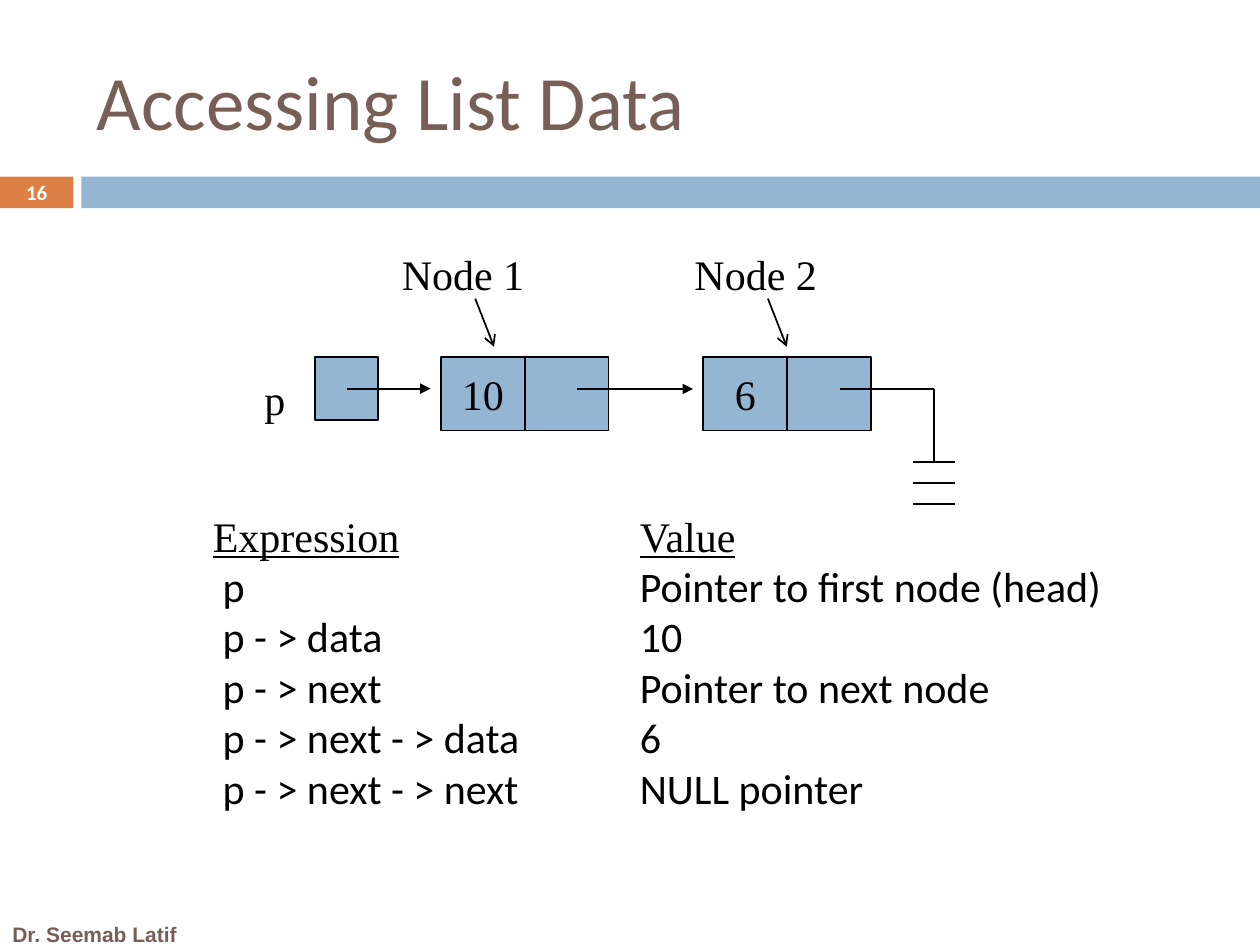
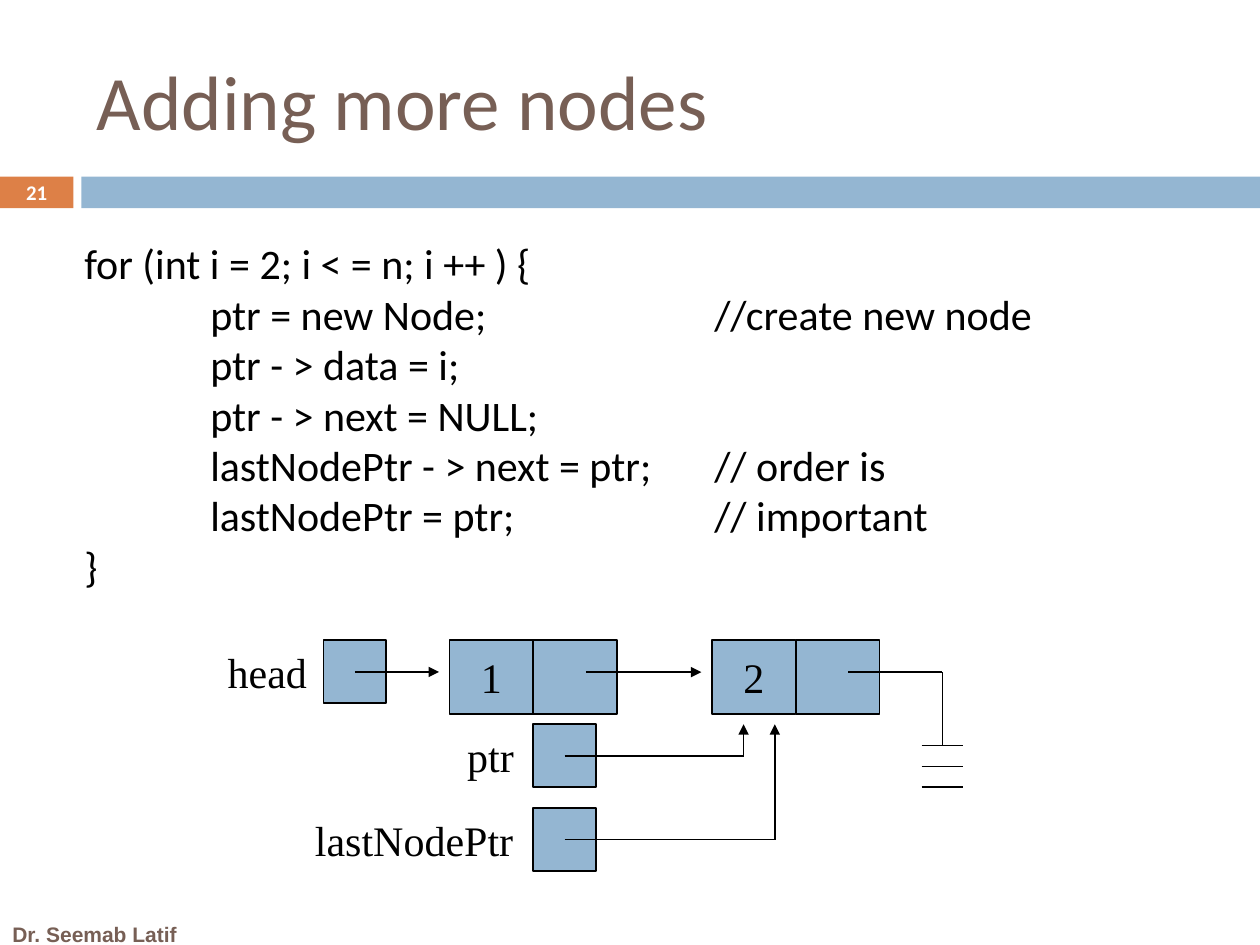
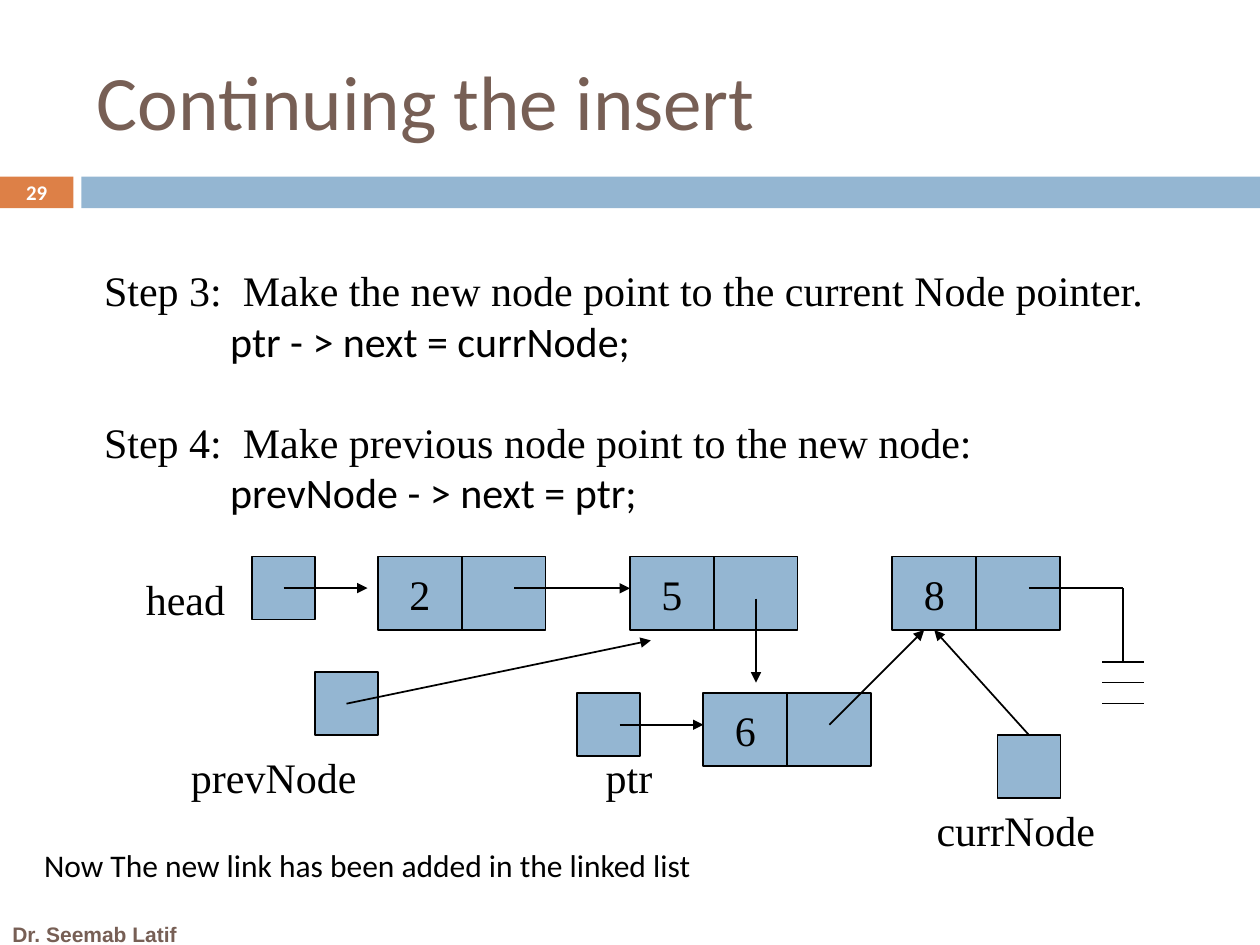
from dataclasses import dataclass

from lxml import etree
from pptx import Presentation
from pptx import util as u
from pptx.dml.color import RGBColor
from pptx.enum import shapes, text
from pptx.oxml import ns

Cm, Pt = u.Cm, u.Pt
CENTER, LEFT = text.PP_ALIGN.CENTER, text.PP_ALIGN.LEFT
MIDDLE, TOP = text.MSO_ANCHOR.MIDDLE, text.MSO_ANCHOR.TOP


@dataclass(frozen=True)
class Theme:
    brown: str = "775F55"
    orange: str = "DD8047"
    blue: str = "94B6D2"
    black: str = "000000"
    white: str = "FFFFFF"
    sans: str = "Calibri"
    serif: str = "Times New Roman"
    footer_font: str = "Arial"
    title_size: float = 44
    body_size: float = 24
    note_size: float = 18
    footer_size: float = 12
    number_size: float = 11.9


THEME = Theme()
SERIF = dict(name=THEME.serif, size=Pt(THEME.body_size))
SANS = dict(name=THEME.sans, size=Pt(THEME.body_size))

# Linked-list geometry in centimetres
POINTER = 1.27
CELL_W, CELL_H = 1.69, 1.48
LINK_X, LINK_Y = 1.06, 0.64
ARROW_GAP = 0.21
FIRST_STEP, NODE_STEP = 2.54, 5.29
GROUND_RUN, BAR_HALF, BAR_STEP = 1.9, 0.42, 0.42


def set_values(target, values):
    for name, value in values.items():
        setattr(target, name, value)


def set_font(font, color=THEME.black, **values):
    set_values(font, values)
    font.color.rgb = RGBColor.from_string(color)


def set_tabs(paragraph, stops):
    tab_list = etree.SubElement(paragraph._p.get_or_add_pPr(), ns.qn("a:tabLst"))
    for stop in stops:
        etree.SubElement(tab_list, ns.qn("a:tab"), pos=str(Cm(stop)), algn="l")


def write(frame, lines, align=LEFT, tabs=()):
    """Fill a frame with (text, font values, indent in cm, space before in points)."""
    for index, (words, font, indent, before) in enumerate(lines):
        paragraph = frame.paragraphs[0] if index == 0 else frame.add_paragraph()
        paragraph.text = words
        paragraph.alignment = align
        if indent:
            set_values_xml = paragraph._p.get_or_add_pPr()
            set_values_xml.set("marL", str(Cm(indent)))
        if before:
            paragraph.space_before = Pt(before)
        if tabs:
            set_tabs(paragraph, tabs)
        for run in paragraph.runs:
            set_font(run.font, **font)


def line_of(words, font=SERIF, indent=0, before=0):
    return words, font, indent, before


def add_text(slide, x, y, w, h, lines, wrap=True, anchor=TOP, tabs=()):
    frame = slide.shapes.add_textbox(Cm(x), Cm(y), Cm(w), Cm(h)).text_frame
    set_values(frame, dict(word_wrap=wrap, vertical_anchor=anchor))
    write(frame, lines, tabs=tabs)


def add_label(slide, words, x, y, w):
    add_text(slide, x, y, w, 1.28, [line_of(words)], wrap=False)


def add_box(slide, x, y, w, h, fill=THEME.blue, outline=THEME.black):
    box = slide.shapes.add_shape(shapes.MSO_SHAPE.RECTANGLE, Cm(x), Cm(y), Cm(w), Cm(h))
    box.shadow.inherit = False
    box.fill.solid()
    box.fill.fore_color.rgb = RGBColor.from_string(fill)
    if outline:
        box.line.color.rgb = RGBColor.from_string(outline)
        box.line.width = Pt(1)
    else:
        box.line.fill.background()
    return box


def add_pointer(slide, x, y):
    return add_box(slide, x, y, POINTER, POINTER)


def add_node(slide, x, y, value):
    """Draw a data cell and a next cell; return the data cell."""
    data = add_box(slide, x, y, CELL_W, CELL_H)
    set_values(data.text_frame, dict(word_wrap=False, vertical_anchor=MIDDLE))
    write(data.text_frame, [line_of(value)], align=CENTER)
    add_box(slide, x + CELL_W, y, CELL_W, CELL_H)
    return data


def add_line(slide, start, end, head=None):
    line = slide.shapes.add_connector(
        shapes.MSO_CONNECTOR.STRAIGHT, *(Cm(v) for v in (*start, *end)))
    line.line.color.rgb = RGBColor.from_string(THEME.black)
    line.line.width = Pt(1)
    if head:
        etree.SubElement(line.line._get_or_add_ln(), ns.qn("a:tailEnd"), type=head)
    etree.SubElement(line._element.spPr, ns.qn("a:effectLst"))
    return line


def add_route(slide, *points):
    """Join the points with lines, with an arrowhead on the last one."""
    last = len(points) - 2
    for index, (start, end) in enumerate(zip(points, points[1:])):
        add_line(slide, start, end, "triangle" if index == last else None)


def link_pointer(slide, x, y):
    """Arrow from a pointer box to the node that follows it."""
    middle = y + POINTER / 2
    add_route(slide, (x + POINTER / 2, middle), (x + FIRST_STEP - ARROW_GAP, middle))


def link_nodes(slide, x, next_x, y, gap=ARROW_GAP):
    add_route(slide, (x + CELL_W + LINK_X, y + LINK_Y), (next_x - gap, y + LINK_Y))


def add_ground(slide, x, y):
    """Null symbol that ends the list at the node placed at x, y."""
    start_x, start_y = x + CELL_W + LINK_X, y + LINK_Y
    end_x, bar_y = start_x + GROUND_RUN, start_y + CELL_H
    add_line(slide, (start_x, start_y), (end_x, start_y))
    add_line(slide, (end_x, start_y), (end_x, bar_y))
    for step in range(3):
        level = bar_y + step * BAR_STEP
        add_line(slide, (end_x - BAR_HALF, level), (end_x + BAR_HALF, level))


def add_slide(deck, title, number):
    slide = deck.slides.add_slide(deck.slide_layouts[5])
    heading = slide.shapes.title
    set_values(heading, dict(left=Cm(1.7), top=Cm(0.64), width=Cm(22.65), height=Cm(2.75)))
    set_values(heading.text_frame, dict(vertical_anchor=MIDDLE, word_wrap=True,
                                        auto_size=text.MSO_AUTO_SIZE.NONE))
    write(heading.text_frame, [line_of(title, dict(
        name=THEME.sans, size=Pt(THEME.title_size), color=THEME.brown))])

    badge = add_box(slide, 0, 3.56, 1.48, 0.64, THEME.orange, None)
    set_values(badge.text_frame, dict(margin_left=0, margin_right=0, margin_top=0,
                                      margin_bottom=0, vertical_anchor=MIDDLE))
    write(badge.text_frame, [line_of(number, dict(
        name=THEME.sans, size=Pt(THEME.number_size), bold=True, color=THEME.white))],
        align=CENTER)
    add_box(slide, 1.64, 3.56, 23.76, 0.64, THEME.blue, None)
    add_text(slide, 0, 18.42, 4.65, 0.81, [line_of("Dr. Seemab Latif", dict(
        name=THEME.footer_font, size=Pt(THEME.footer_size), bold=True,
        color=THEME.brown))], anchor=MIDDLE)
    return slide


def build_access(deck):
    slide = add_slide(deck, "Accessing List Data", "16")
    pointer_x, y = 6.35, 7.2
    first_x = pointer_x + FIRST_STEP
    second_x = first_x + NODE_STEP

    add_pointer(slide, pointer_x, y)
    add_label(slide, "p", 5.08, 7.41, 0.94)
    for x, value in ((first_x, "10"), (second_x, "6")):
        add_node(slide, x, y, value)
    link_pointer(slide, pointer_x, y)
    link_nodes(slide, first_x, second_x, y)
    add_ground(slide, second_x, y)

    for name, x in (("Node 1", 7.85), ("Node 2", 13.75)):
        add_label(slide, name, x, 4.88, 2.97)
        add_line(slide, (x + 1.73, 6.02), (x + 2.11, 6.99), "arrow")

    expressions = ("p", "p - > data", "p - > next", "p - > next - > data",
                   "p - > next - > next")
    values = ("Pointer to first node (head)", "10", "Pointer to next node", "6",
              "NULL pointer")
    for heading, rows, x, w, indent in (("Expression", expressions, 4.04, 8.4, 0.2),
                                        ("Value", values, 12.65, 10.64, 0)):
        lines = [line_of(heading, dict(SERIF, underline=True))]
        lines += [line_of(row, SANS, indent) for row in rows]
        add_text(slide, x, 10.16, w, 6.4, lines)


def build_adding(deck):
    slide = add_slide(deck, "Adding more nodes", "21")
    code = (
        "for (int i = 2; i < = n; i ++ ) {",
        "\tptr = new Node;\t//create new node",
        "\tptr - > data = i;",
        "\tptr - > next = NULL;",
        "\tlastNodePtr - > next = ptr;\t// order is",
        "\tlastNodePtr = ptr;\t// important",
        "}",
    )
    add_text(slide, 1.45, 4.67, 22.91, 8.46, [line_of(row, SANS) for row in code],
             tabs=(2.54, 12.7))

    head_x, y = 6.52, 12.91
    first_x = head_x + FIRST_STEP
    second_x = first_x + NODE_STEP
    add_pointer(slide, head_x, y)
    add_label(slide, "head", 4.34, y, 2.13)
    for x, value in ((first_x, "1"), (second_x, "2")):
        add_node(slide, x, y, value)
    link_pointer(slide, head_x, y)
    link_nodes(slide, first_x, second_x, y)
    add_ground(slide, second_x, y)

    pointer_x = first_x + CELL_W
    arrow_y = y + CELL_H + ARROW_GAP
    for row, (name, label_x, label_w, target_x) in enumerate((
            ("ptr", 9.17, 1.45, 14.99), ("lastNodePtr", 6.1, 4.5, 15.62))):
        top = arrow_y + row * 1.69
        middle = top + POINTER / 2
        add_pointer(slide, pointer_x, top)
        add_label(slide, name, label_x, top, label_w)
        add_route(slide, (pointer_x + POINTER / 2, middle), (target_x, middle),
                  (target_x, arrow_y))


def build_insert(deck):
    slide = add_slide(deck, "Continuing the insert", "29")
    add_text(slide, 1.85, 5.21, 23.55, 5.38, [
        line_of("Step 3:  Make the new node point to the current Node pointer."),
        line_of("ptr - > next = currNode;", SANS, 2.54),
        line_of("Step 4:  Make previous node point to the new node:", before=29),
        line_of("prevNode - > next = ptr;", SANS, 2.54),
    ])

    head_x, y = 5.08, 11.22
    two_x = head_x + FIRST_STEP
    five_x = two_x + 5.08
    eight_x = five_x + NODE_STEP
    six_x, six_y = 14.18, 13.97
    for x, value in ((two_x, "2"), (five_x, "5")):
        add_node(slide, x, y, value)
    eight = add_node(slide, eight_x, y, "8")
    add_node(slide, six_x, six_y, "6")

    prev_x, prev_y = 6.35, 13.55
    ptr_x = 11.64
    for x, top in ((head_x, y), (prev_x, prev_y), (ptr_x, six_y)):
        add_pointer(slide, x, top)
    current = add_pointer(slide, 20.11, 14.82)
    for name, x, top, w in (("head", 2.69, 11.43, 2.13), ("prevNode", 3.6, 15.03, 3.89),
                            ("ptr", 11.96, 15.03, 1.45), ("currNode", 18.63, 16.09, 3.73)):
        add_label(slide, name, x, top, w)

    link_pointer(slide, head_x, y)
    link_nodes(slide, two_x, five_x, y, gap=0)
    add_ground(slide, eight_x, y)
    bottom = y + CELL_H
    add_route(slide, (15.24, 12.07), (15.24, six_y - ARROW_GAP))
    add_route(slide, (12.49, six_y + LINK_Y), (six_x, six_y + LINK_Y))
    add_route(slide, (16.72, six_y + LINK_Y), (18.63, bottom))
    add_route(slide, (prev_x + POINTER / 2, prev_y + POINTER / 2),
              (13.12, bottom + ARROW_GAP))
    current_link = add_line(slide, (20.74, 14.82), (18.84, bottom), "triangle")
    current_link.begin_connect(current, 0)
    current_link.end_connect(eight, 2)

    add_text(slide, 0.64, 16.94, 17.78, 1.03, [line_of(
        "Now The new link has been added in the linked list",
        dict(name=THEME.sans, size=Pt(THEME.note_size)))])


def main():
    deck = Presentation()
    set_values(deck, dict(slide_width=Cm(25.4), slide_height=Cm(19.05)))
    for build in (build_access, build_adding, build_insert):
        build(deck)
    deck.save("out.pptx")


if __name__ == "__main__":
    main()
